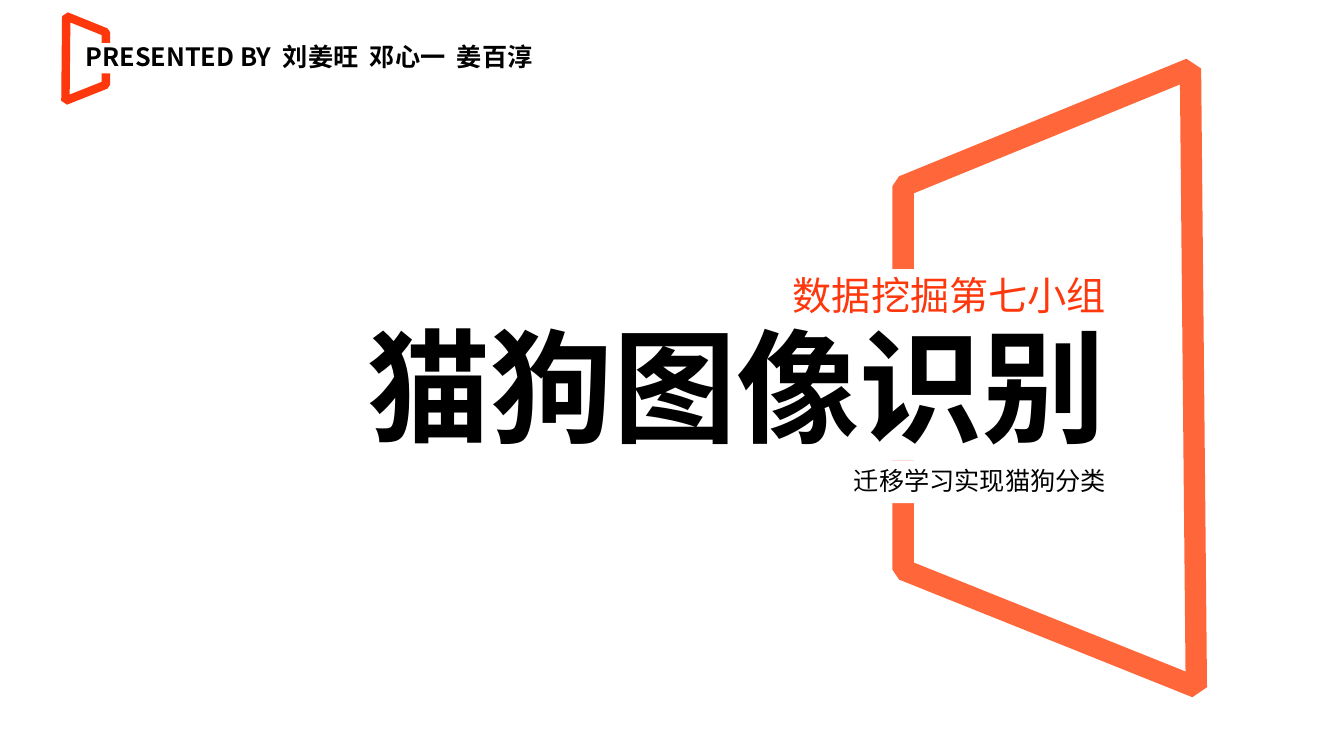
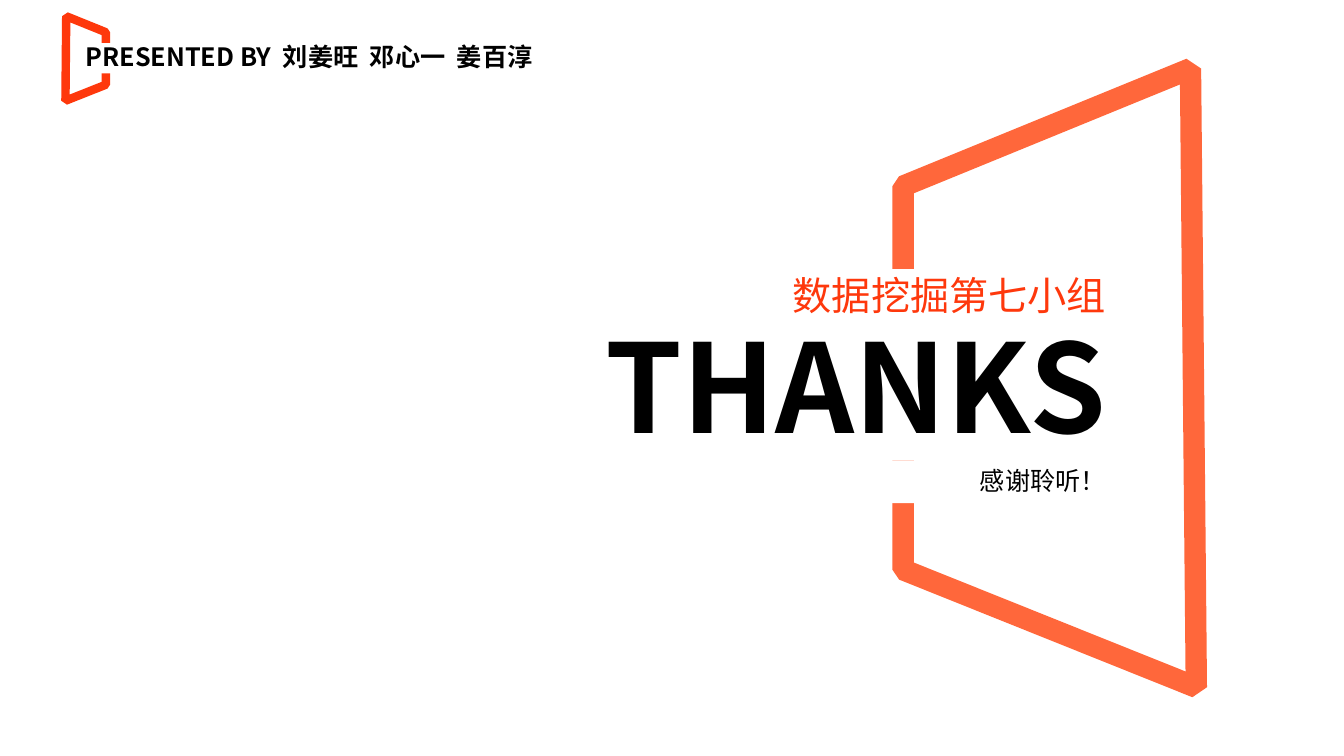
from lxml import etree
from pptx import Presentation
from pptx import util as u
from pptx.dml.color import RGBColor
from pptx.enum import shapes, text
from pptx.oxml import ns

COLORS = {"paper": "FFFFFF", "ink": "000000", "accent": "FE380C", "frame": "FF673B"}
FONT = "Noto Sans CJK SC"
TRAPEZOID = [(0, 0.19), (0.98, 0), (1, 1), (0, 0.81)]
FRAME_BOX = (22.76, 1.73, 7.39, 15.59)
BADGE_BOX = (1.65, 0.41, 1.02, 2.13)
HEADER_BOX = (1.91, 1.09, 12.47, 0.76)
TITLE_BOX = (8.15, 6.78, 19.97, 5.9)
PRESENTERS = "PRESENTED BY  刘姜旺  邓心一  姜百淳"
TEAM = "数据挖掘第七小组"

LEFT, RIGHT = text.PP_ALIGN.LEFT, text.PP_ALIGN.RIGHT
STYLES = {
    "header": {"size": u.Pt(18), "bold": True, "color": "ink", "align": LEFT},
    "team": {"size": u.Pt(28), "bold": False, "color": "accent", "align": RIGHT},
    "title": {"size": u.Pt(88), "bold": True, "color": "ink", "align": RIGHT},
    "caption": {"size": u.Pt(18), "bold": False, "color": "ink", "align": RIGHT},
}
ROWS = [("team", 1.44), ("title", 3.39), ("caption", 1.07)]


def rgb(name):
    return RGBColor.from_string(COLORS[name])


def apply(target, values):
    for name, value in values.items():
        setattr(target, name, value)


def add_frame(slide, box, color, weight, mirrored=False):
    x, y, w, h = box
    points = [
        (u.Cm(x + w * (1 - fx if mirrored else fx)), u.Cm(y + h * fy))
        for fx, fy in TRAPEZOID
    ]
    builder = slide.shapes.build_freeform(*points[0], scale=1.0)
    builder.add_line_segments(points[1:], close=True)
    sp = builder.convert_to_shape()
    sp.shadow.inherit = False
    sp.fill.background()
    sp.line.color.rgb = rgb(color)
    sp.line.width = u.Pt(weight)
    etree.SubElement(sp.line._get_or_add_ln(), ns.qn("a:bevel"))


def add_label(slide, box, content, style):
    fmt = STYLES[style]
    sp = slide.shapes.add_shape(shapes.MSO_SHAPE.RECTANGLE, *map(u.Cm, box))
    sp.shadow.inherit = False
    sp.fill.solid()
    sp.fill.fore_color.rgb = rgb("paper")
    sp.line.fill.background()
    tf = sp.text_frame
    apply(tf, {"word_wrap": True, "vertical_anchor": text.MSO_ANCHOR.MIDDLE,
               "margin_top": 0, "margin_bottom": 0})
    p = tf.paragraphs[0]
    apply(p, {"alignment": fmt["align"], "line_spacing": 0.9})
    r = p.add_run()
    r.text = content
    apply(r.font, {"name": FONT, "size": fmt["size"], "bold": fmt["bold"]})
    r.font.color.rgb = rgb(fmt["color"])
    ea = etree.SubElement(r.font._element, ns.qn("a:ea"))
    ea.set("typeface", FONT)


def add_title_block(slide, box, contents):
    x, y, w, h = box
    total = sum(height for _, height in ROWS)
    for (style, height), content in zip(ROWS, contents):
        row = h * height / total
        add_label(slide, (x, y, w, row), content, style)
        y += row


def add_cover(prs, title, caption):
    slide = prs.slides.add_slide(prs.slide_layouts[6])
    add_frame(slide, FRAME_BOX, "frame", 15.25)
    add_frame(slide, BADGE_BOX, "accent", 6, mirrored=True)
    add_label(slide, HEADER_BOX, PRESENTERS, "header")
    add_title_block(slide, TITLE_BOX, (TEAM, title, caption))


def main():
    prs = Presentation()
    apply(prs, {"slide_width": u.Cm(33.87), "slide_height": u.Cm(19.05)})
    add_cover(prs, "猫狗图像识别", "迁移学习实现猫狗分类")
    add_cover(prs, "THANKS", "感谢聆听！")
    prs.save("out.pptx")


if __name__ == "__main__":
    main()
